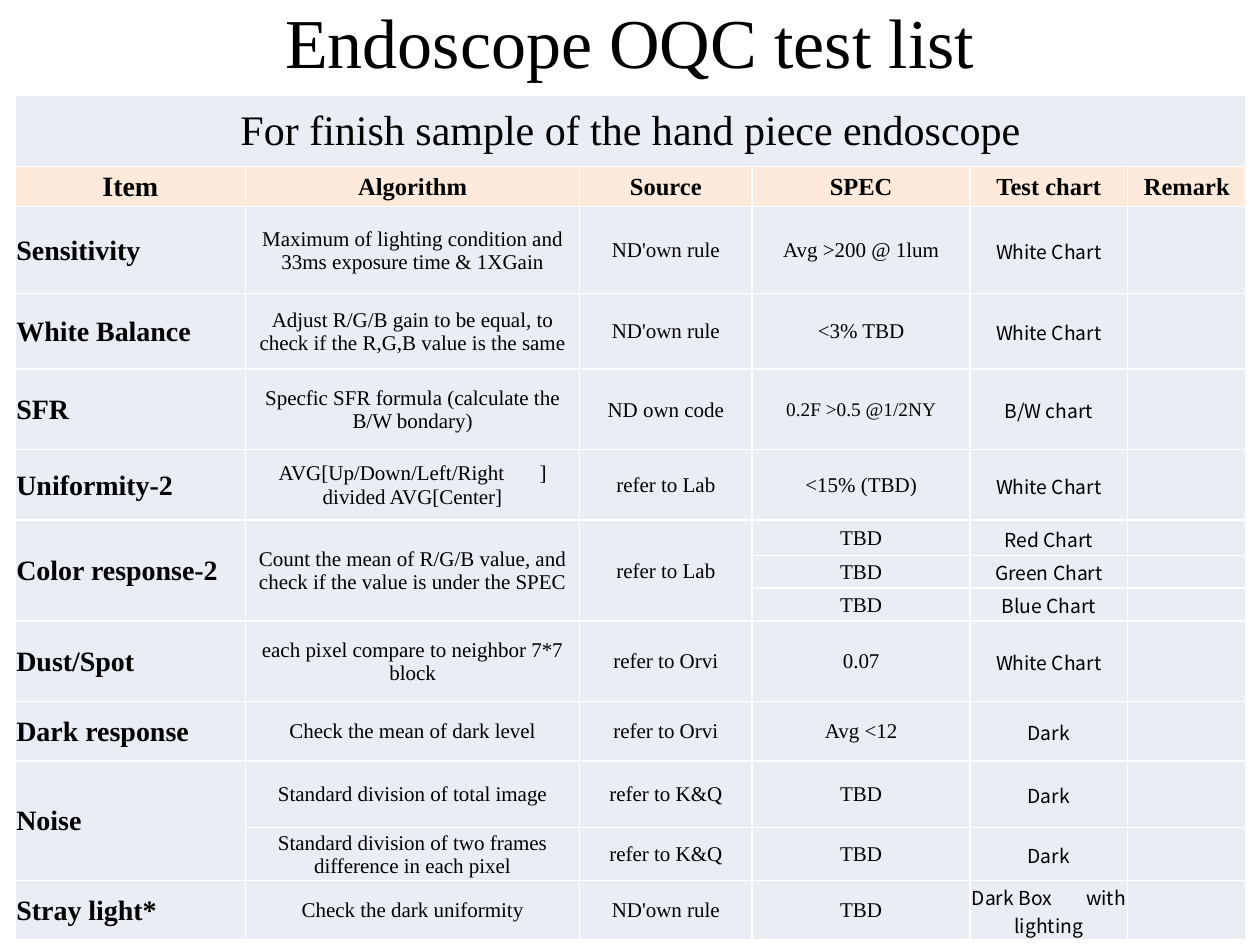
from lxml.etree import SubElement
from pptx import Presentation
from pptx.dml.color import RGBColor
from pptx.enum.text import MSO_ANCHOR as Anchor, PP_ALIGN as Align
from pptx.oxml.ns import qn
from pptx.util import Inches, Pt

BLACK = RGBColor(0x00, 0x00, 0x00)
WHITE = RGBColor(0xFF, 0xFF, 0xFF)
PALE_BLUE = RGBColor(0xE9, 0xED, 0xF4)
PEACH = RGBColor(0xFD, 0xEA, 0xDA)
SERIF, SANS = "Times New Roman", "Noto Sans CJK SC"

COLS = [1.83, 2.65, 1.37, 1.73, 1.25, 0.94]
ROWS = [0.56, 0.32, 0.69, 0.6, 0.64, 0.56, 0.28, 0.26, 0.26,
        0.64, 0.47, 0.53, 0.42, 0.47]
MERGES = [((0, 0), (0, 5)), ((6, 0), (8, 0)), ((6, 1), (8, 1)),
          ((6, 2), (8, 2)), ((11, 0), (12, 0))]
GAP = "|"
TESTS = [
    ["For finish sample of the hand piece endoscope"],
    ["Item", "Algorithm", "Source", "SPEC", "Test chart", "Remark"],
    ["Sensitivity", "Maximum of lighting condition and 33ms exposure time & 1XGain",
     "ND'own rule", "Avg >200 @ 1lum", "White Chart"],
    ["White Balance", "Adjust R/G/B gain to be equal, to check if the R,G,B value is the same",
     "ND'own rule", "<3% TBD", "White Chart"],
    ["SFR", "Specfic SFR formula (calculate the B/W bondary)",
     "ND own code", "0.2F >0.5 @1/2NY", "B/W chart"],
    ["Uniformity-2", "AVG[Up/Down/Left/Right|]\vdivided AVG[Center]",
     "refer to Lab", "<15% (TBD)", "White Chart"],
    ["Color response-2", "Count the mean of R/G/B value, and check if the value is under the SPEC",
     "refer to Lab", "TBD", "Red Chart"],
    ["", "", "", "TBD", "Green Chart"],
    ["", "", "", "TBD", "Blue Chart"],
    ["Dust/Spot", "each pixel compare to neighbor 7*7 block",
     "refer to Orvi", "0.07", "White Chart"],
    ["Dark response", "Check the mean of dark level",
     "refer to Orvi", "Avg <12", "Dark"],
    ["Noise", "Standard division of total image", "refer to K&Q", "TBD", "Dark"],
    ["", "Standard division of two frames difference in each pixel",
     "refer to K&Q", "TBD", "Dark"],
    ["Stray light*", "Check the dark uniformity", "ND'own rule", "TBD",
     "Dark Box|with\vlighting"],
]

CELL = {"margin_left": Inches(0.01), "margin_right": Inches(0.01),
        "margin_top": Inches(0.01), "margin_bottom": 0,
        "vertical_anchor": Anchor.MIDDLE}


def set_attrs(obj, values):
    for name, value in values.items():
        setattr(obj, name, value)


def font_format(row, col):
    size, name, bold = 12, SERIF, False
    if row == 0:
        size = 24
    elif col == 0:
        size, bold = 16, True
    elif row == 1:
        size, bold = 14, True
    elif col == 4:
        size, name = 11, SANS
    elif TESTS[row][col:col + 1] == ["0.2F >0.5 @1/2NY"]:
        size = 11
    return {"size": Pt(size), "name": name, "bold": bold}


def add_run(p, text, fmt):
    r = p.add_run()
    r.text = text
    set_attrs(r.font, fmt)
    r.font.color.rgb = BLACK
    return r


def write_text(p, text, fmt):
    for i, line in enumerate(text.split("\v")):
        if i:
            p.add_line_break()
        for j, part in enumerate(line.split(GAP)):
            if j:
                space = add_run(p, " ", fmt)
                space._r.get_or_add_rPr().set("spc", "1700")
            if part:
                add_run(p, part, fmt)
    if not text:
        SubElement(p._p, qn("a:endParaRPr")).set("sz", "1100")


def set_borders(cell):
    tc_pr = cell._tc.get_or_add_tcPr()
    for i, side in enumerate(("lnL", "lnR", "lnT", "lnB")):
        ln = tc_pr.makeelement(qn("a:" + side), {"w": str(Pt(1))})
        fill = SubElement(ln, qn("a:solidFill"))
        SubElement(fill, qn("a:srgbClr")).set("val", str(WHITE))
        tc_pr.insert(i, ln)


def format_cell(cell, row, col):
    set_attrs(cell, CELL)
    cell.fill.solid()
    cell.fill.fore_color.rgb = PEACH if row == 1 else PALE_BLUE
    set_borders(cell)
    p = cell.text_frame.paragraphs[0]
    p.alignment = Align.LEFT if col == 0 and row > 1 else Align.CENTER
    text = TESTS[row][col] if col < len(TESTS[row]) else ""
    write_text(p, text, font_format(row, col))


def add_title(s, left, top, width, height):
    title = s.shapes.title
    set_attrs(title, {"left": left, "top": top, "width": width, "height": height})
    tf = title.text_frame
    set_attrs(tf, {"word_wrap": True, "vertical_anchor": Anchor.MIDDLE})
    p = tf.paragraphs[0]
    p.alignment = Align.CENTER
    write_text(p, "Endoscope OQC test list", {"size": Pt(40), "name": SERIF})


def add_test_table(s, left, top, width, height):
    table = s.shapes.add_table(len(ROWS), len(COLS), left, top, width, height).table
    set_attrs(table, {"first_row": False, "horz_banding": False})
    for column, w in zip(table.columns, COLS):
        column.width = Inches(w)
    for row, h in zip(table.rows, ROWS):
        row.height = Inches(h)
    for row in range(len(ROWS)):
        for col in range(len(COLS)):
            format_cell(table.cell(row, col), row, col)
    for first, last in MERGES:
        table.cell(*first).merge(table.cell(*last))


def main():
    prs = Presentation()
    set_attrs(prs, {"slide_width": Inches(10), "slide_height": Inches(7.5)})
    s = prs.slides.add_slide(prs.slide_layouts[5])
    add_title(s, Inches(0.5), Inches(-0.11), Inches(9), Inches(0.87))
    add_test_table(s, Inches(0.12), Inches(0.76), Inches(9.76), Inches(6.69))
    prs.save("out.pptx")


if __name__ == "__main__":
    main()
